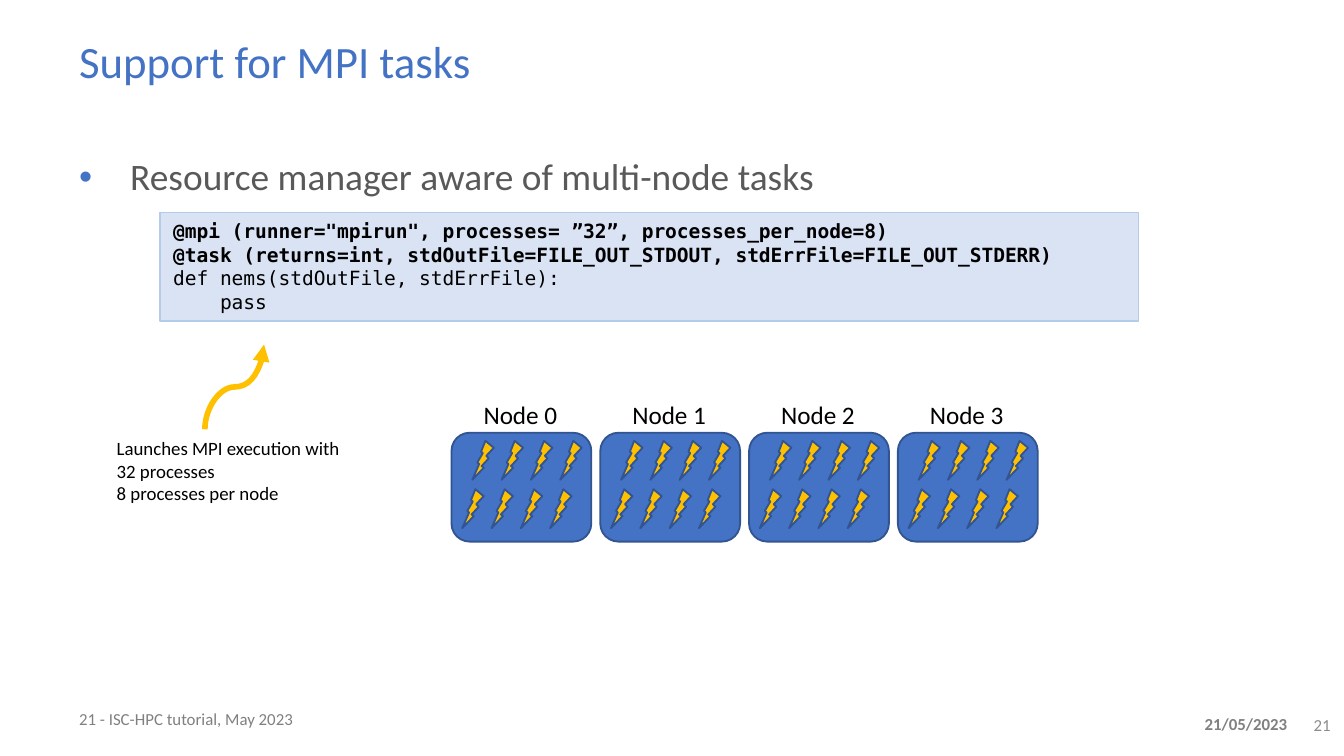
from dataclasses import dataclass
from itertools import product
from typing import NamedTuple

from lxml.etree import SubElement as Sub
from pptx import Presentation
from pptx.dml.color import RGBColor as Rgb
from pptx.enum.shapes import MSO_CONNECTOR as Link, MSO_SHAPE as Form
from pptx.enum.text import MSO_ANCHOR as Anchor, PP_ALIGN as Align
from pptx.oxml.ns import qn
from pptx.util import Inches, Pt

UNIT = Inches(0.1)
WIDE, HIGH = 100, 56.25


@dataclass(frozen=True)
class Theme:
    sans: str = "Calibri"
    mono: str = "DejaVu Sans Mono"
    blue: str = "4472C4"
    edge: str = "325491"
    gold: str = "FFC000"
    pale: str = "DAE3F3"
    rim: str = "B4CCEA"
    black: str = "000000"
    body: str = "595959"
    gray: str = "808080"
    light: str = "8C8C8C"
    head: float = 24
    lead: float = 20
    node: float = 13.5
    code: float = 10.5
    note: float = 10.1
    foot: float = 9


THEME = Theme()


class Box(NamedTuple):
    left: float
    top: float
    width: float
    height: float


class Label(NamedTuple):
    box: Box
    text: str
    size: float
    color: str
    bold: bool = False
    align: Align = Align.LEFT
    anchor: Anchor = Anchor.TOP
    space: float = 1
    wrap: bool = True


LABELS = [
    Label(Box(4.9, 51.9, 19.3, 3.2), "21 - ISC-HPC tutorial, May 2023",
          THEME.foot, THEME.gray, anchor=Anchor.MIDDLE),
    Label(Box(87.5, 52.6, 10.4, 2.5), "21/05/2023", THEME.foot, THEME.gray,
          bold=True, align=Align.CENTER),
    Label(Box(96.4, 52.2, 3.6, 3.4), "21", THEME.foot, THEME.light,
          align=Align.RIGHT, anchor=Anchor.MIDDLE),
    Label(Box(4.9, 2.5, 71.8, 4.7), "Support for MPI tasks",
          THEME.head, THEME.blue, space=0.9),
]
LEAD = Label(Box(4.9, 11.3, 90.5, 37.4),
             "Resource manager aware of multi-node tasks",
             THEME.lead, THEME.body, space=0.9)
NOTE = Label(Box(3.9, 32, 22.9, 6.1),
             "Launches MPI execution with \v32 processes\n8 processes per node",
             THEME.note, THEME.black)
CODE = """@mpi (runner="mpirun", processes= ”32”, processes_per_node=8)
@task (returns=int, stdOutFile=FILE_OUT_STDOUT, stdErrFile=FILE_OUT_STDERR)
def nems(stdOutFile, stdErrFile):
    pass"""
BOLD_ROWS = 2
INDENT = Inches(0.38)

NODES, ROWS, COLS = 4, 2, 4
NODE = Box(33.6, 32.2, 10.4, 8.1)
NODE_STEP = 11.07
BOLT = Box(1.55, 0.6, 1.6, 2.9)
BOLT_STEP, ROW_STEP, ROW_SHIFT = 2.18, 3.6, -0.75


def place(box: Box) -> list[int]:
    return [round(side * UNIT) for side in box]


def style(font, size: float, color: str, bold: bool = False,
          face: str = THEME.sans) -> None:
    font.name, font.size, font.bold = face, Pt(size), bold
    font.color.rgb = Rgb.from_string(color)


def write(shapes, label: Label):
    shape = shapes.add_textbox(*place(label.box))
    frame = shape.text_frame
    frame.word_wrap = label.wrap
    frame.vertical_anchor = label.anchor
    frame.text = label.text
    for para in frame.paragraphs:
        para.alignment = label.align
        para.line_spacing = label.space
        for run in para.runs:
            style(run.font, label.size, label.color, label.bold)
    return shape


def draw(shapes, form: Form, box: Box, fill: str, edge: str,
         weight: float = 1):
    shape = shapes.add_shape(form, *place(box))
    shape.shadow.inherit = False
    shape.fill.solid()
    shape.fill.fore_color.rgb = Rgb.from_string(fill)
    shape.line.color.rgb = Rgb.from_string(edge)
    shape.line.width = Pt(weight)
    return shape


def add_lead(shapes) -> None:
    para = write(shapes, LEAD).text_frame.paragraphs[0]
    props = para._p.get_or_add_pPr()
    props.set("marL", str(INDENT))
    props.set("indent", str(-INDENT))
    Sub(Sub(props, qn("a:buClr")), qn("a:srgbClr"), val=THEME.blue)
    Sub(props, qn("a:buFont"), typeface="Arial")
    Sub(props, qn("a:buChar"), char="•")


def add_code(shapes) -> None:
    box = Box(11.9, 15.8, 72.8, 8.1)
    shape = draw(shapes, Form.RECTANGLE, box, THEME.pale, THEME.rim, 0.75)
    frame = shape.text_frame
    frame.word_wrap = True
    frame.vertical_anchor = Anchor.TOP
    frame.text = CODE
    for row, para in enumerate(frame.paragraphs):
        para.alignment = Align.LEFT
        for run in para.runs:
            style(run.font, THEME.code, THEME.black, row < BOLD_ROWS,
                  THEME.mono)


def add_note(shapes) -> None:
    for para in write(shapes, NOTE).text_frame.paragraphs:
        para._p.get_or_add_pPr().set("marL", str(INDENT))


def add_arrow(shapes) -> None:
    ends = place(Box(20.6, 31, 14.3, 26.6))
    arrow = shapes.add_connector(Link.CURVE, *ends)
    arrow.line.color.rgb = Rgb.from_string(THEME.gold)
    arrow.line.width = Pt(3)
    props = arrow.element.spPr
    props.find(qn("a:xfrm")).set("rot", str(90 * 60000))
    Sub(arrow.line._get_or_add_ln(), qn("a:tailEnd"), type="triangle")
    Sub(props, qn("a:effectLst"))


def add_node(shapes, index: int) -> None:
    group = shapes.add_group_shape().shapes
    box = NODE._replace(left=NODE.left + index * NODE_STEP)
    draw(group, Form.ROUNDED_RECTANGLE, box, THEME.blue, THEME.edge)
    write(group, Label(Box(box.left + 1.4, box.top - 3, 7.6, 3.3),
                       f"Node {index}", THEME.node, THEME.black, wrap=False))
    for row, col in product(range(ROWS), range(COLS)):
        left = box.left + BOLT.left + col * BOLT_STEP + row * ROW_SHIFT
        top = box.top + BOLT.top + row * ROW_STEP
        bolt = draw(group, Form.LIGHTNING_BOLT,
                    BOLT._replace(left=left, top=top), THEME.gold, THEME.edge)
        bolt.element.spPr.find(qn("a:xfrm")).set("flipH", "1")


def main() -> None:
    deck = Presentation()
    deck.slide_width = round(WIDE * UNIT)
    deck.slide_height = round(HIGH * UNIT)
    shapes = deck.slides.add_slide(deck.slide_layouts[6]).shapes
    for label in LABELS:
        write(shapes, label)
    add_lead(shapes)
    add_code(shapes)
    add_note(shapes)
    add_arrow(shapes)
    for index in range(NODES):
        add_node(shapes, index)
    deck.save("out.pptx")


if __name__ == "__main__":
    main()
